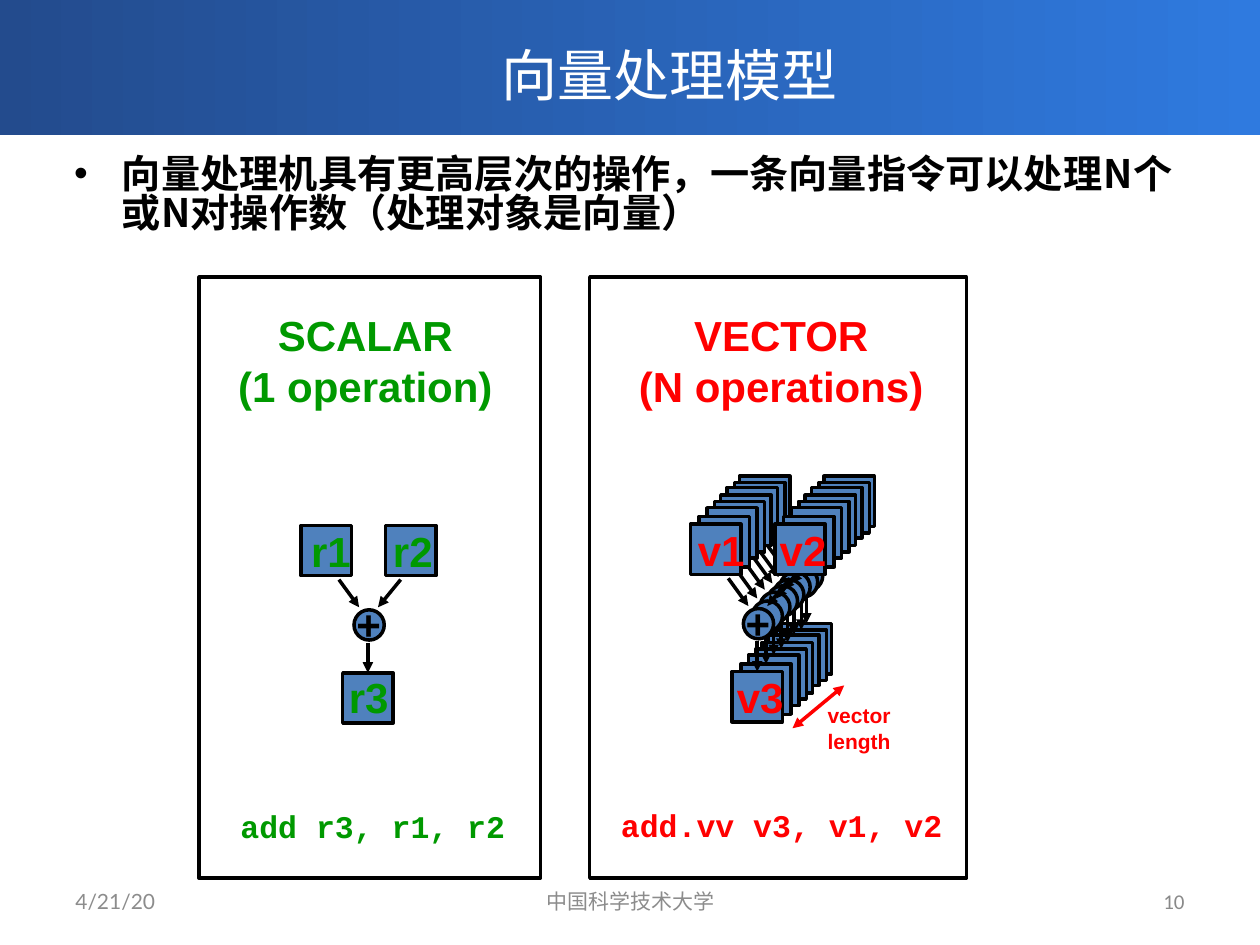
from typing import NamedTuple

from lxml import etree
from pptx import Presentation
from pptx.dml.color import RGBColor
from pptx.enum.shapes import MSO_CONNECTOR, MSO_SHAPE
from pptx.enum.text import MSO_ANCHOR, PP_ALIGN
from pptx.oxml.ns import qn
from pptx.util import Inches, Pt

RECT, OVAL = MSO_SHAPE.RECTANGLE, MSO_SHAPE.OVAL
STRAIGHT = MSO_CONNECTOR.STRAIGHT
TOP, MIDDLE = MSO_ANCHOR.TOP, MSO_ANCHOR.MIDDLE
LEFT, CENTER, RIGHT = PP_ALIGN.LEFT, PP_ALIGN.CENTER, PP_ALIGN.RIGHT

BLACK = RGBColor(0x00, 0x00, 0x00)
WHITE = RGBColor(0xFF, 0xFF, 0xFF)
NAVY = RGBColor(0x23, 0x4B, 0x8D)
AZURE = RGBColor(0x2F, 0x7A, 0xDF)
BLUE = RGBColor(0x4F, 0x81, 0xBD)
GREEN = RGBColor(0x00, 0x99, 0x00)
RED = RGBColor(0xFF, 0x00, 0x00)
GRAY = RGBColor(0x8C, 0x8C, 0x8C)
ASH = RGBColor(0x89, 0x89, 0x89)
CJK, SANS, MONO = "Noto Sans CJK SC", "Arial", "Courier New"


class Box(NamedTuple):
    x: float
    y: float
    w: float
    h: float


class Style(NamedTuple):
    font: str
    size: float
    color: RGBColor
    bold: bool = False
    align: PP_ALIGN = LEFT
    anchor: MSO_ANCHOR = TOP
    wrap: bool = True


class Panel(NamedTuple):
    frame: Box
    head: Box
    title: str
    code_box: Box
    code: str
    color: RGBColor
    layers: list[tuple[float, float]]  # unit origins, back to front
    names: list[tuple[str, float, float]]  # offsets from the front unit
    name_w: float


PANELS = [
    Panel(Box(1.58, 2.2, 2.71, 4.77), Box(1.78, 2.41, 2.24, 0.91),
          "SCALAR\n(1 operation)", Box(1.81, 6.36, 2.31, 0.4),
          "add r3, r1, r2", GREEN, [(2.39, 4.17)],
          [("r1", -0.02, -0.05), ("r2", 0.63, -0.05), ("r3", 0.28, 1.11)],
          0.52),
    Panel(Box(4.68, 2.2, 2.99, 4.77), Box(4.96, 2.41, 2.48, 0.91),
          "VECTOR\n(N operations)", Box(4.83, 6.35, 2.76, 0.4),
          "add.vv v3, v1, v2", RED,
          [(5.87, 3.78), (5.83, 3.83), (5.77, 3.87), (5.72, 3.93),
           (5.67, 3.98), (5.61, 4.03), (5.55, 4.1), (5.48, 4.16)],
          [("v1", -0.04, -0.05), ("v2", 0.61, -0.05), ("v3", 0.27, 1.12)],
          0.57),
]

prs = Presentation()
prs.slide_width, prs.slide_height = Inches(10), Inches(7.5)
slide = prs.slides.add_slide(prs.slide_layouts[6])
shapes = slide.shapes


def add_text(box: Box, text: str, style: Style):
    frame = shapes.add_textbox(*map(Inches, box)).text_frame
    frame.word_wrap = style.wrap
    frame.vertical_anchor = style.anchor
    frame.text = text
    for para in frame.paragraphs:
        para.alignment = style.align
        font = para.font
        font.name, font.size, font.bold = style.font, Pt(style.size), style.bold
        font.color.rgb = style.color
        if style.font == CJK:
            for run in para.runs:
                props = run.font
                props.name = CJK
                east = etree.SubElement(run._r.get_or_add_rPr(), qn("a:ea"))
                east.set("typeface", CJK)
    return frame


def add_block(kind: MSO_SHAPE, box: Box, fill: RGBColor | None = None):
    block = shapes.add_shape(kind, *map(Inches, box))
    block.shadow.inherit = False
    if fill is None:
        block.fill.background()
    else:
        block.fill.solid()
        block.fill.fore_color.rgb = fill
    block.line.color.rgb, block.line.width = BLACK, Pt(2)
    return block


def add_arrow(x1: float, y1: float, x2: float, y2: float,
              color: RGBColor = BLACK, both: bool = False):
    arrow = shapes.add_connector(STRAIGHT, *map(Inches, (x1, y1, x2, y2)))
    arrow.line.color.rgb, arrow.line.width = color, Pt(2)
    line = arrow.line._get_or_add_ln()
    for end in ("a:headEnd", "a:tailEnd") if both else ("a:tailEnd",):
        etree.SubElement(line, qn(end)).set("type", "triangle")
    etree.SubElement(arrow._element.spPr, qn("a:effectLst"))
    return arrow


def add_unit(x: float, y: float, left: bool) -> None:
    """Two operands, an adder and a result, with the arrows between."""
    add_block(OVAL, Box(x + 0.42, y + 0.67, 0.24, 0.24), BLUE)
    for dx, dy in ((0, 0), (0.67, 0), (0.33, 1.17)):
        square = add_block(RECT, Box(x + dx, y + dy, 0.4, 0.4), BLUE)
    if left:
        add_arrow(x + 0.3, y + 0.43, x + 0.46, y + 0.65)
    add_arrow(x + 0.79, y + 0.43, x + 0.61, y + 0.65)
    down = add_arrow(x + 0.53, y + 0.93, x + 0.53, y + 1.15)
    down.end_connect(square, 0)


def add_panel(panel: Panel) -> None:
    add_block(RECT, panel.frame)
    for i, (x, y) in enumerate(panel.layers):
        # The rearmost unit of a stack has no left arrow
        add_unit(x, y, left=i > 0 or len(panel.layers) == 1)
    label = Style(SANS, 24, panel.color, bold=True, wrap=False)
    for name, dx, dy in panel.names:
        add_text(Box(x + dx, y + dy, panel.name_w, 0.5), name, label)
    add_text(Box(x + 0.34, y + 0.53, 0.4, 0.5), "+",
             label._replace(color=BLACK))
    add_text(panel.code_box, panel.code, label._replace(font=MONO, size=18))
    add_text(panel.head, panel.title, label._replace(align=CENTER))


# Header band and title
band = add_block(RECT, Box(0, 0, 10, 1.07))
band.line.fill.background()
band.fill.gradient()
band.fill.gradient_angle = 0
for stop, color in zip(band.fill.gradient_stops, (NAVY, AZURE)):
    stop.color.rgb = color
add_text(Box(1.13, 0.16, 8.37, 0.86), "向量处理模型",
         Style(CJK, 32, WHITE, align=CENTER, anchor=MIDDLE))

# Bullet
body = add_text(
    Box(0.49, 1.2, 9, 0.85),
    "向量处理机具有更高层次的操作，一条向量指令可以处理N个或N对操作数（处理对象是向量）",
    Style(CJK, 22.4, BLACK, bold=True))
para = body.paragraphs[0]
para.line_spacing, para.space_before = 0.83, Pt(3)
props = para._p.get_or_add_pPr()
props.set("marL", str(Inches(0.38)))
props.set("indent", str(Inches(-0.38)))
face, mark = etree.Element(qn("a:buFont")), etree.Element(qn("a:buChar"))
face.set("typeface", SANS)
mark.set("char", "•")
at = props.index(props.find(qn("a:defRPr")))
props[at:at] = [face, mark]

# Panels
for panel in PANELS:
    add_panel(panel)

# Vector length
add_arrow(6.7, 5.44, 6.29, 5.78, RED, both=True)
add_text(Box(6.47, 5.53, 0.7, 0.5), "vector\nlength",
         Style(SANS, 12, RED, bold=True))

# Footer
foot = Style("Lato", 12, GRAY, anchor=MIDDLE)
add_text(Box(0.5, 6.95, 2.33, 0.4), "4/21/20", foot)
add_text(Box(3.42, 6.95, 3.17, 0.4), "中国科学技术大学",
         foot._replace(align=CENTER))
add_text(Box(7.17, 6.95, 2.33, 0.4), "10",
         foot._replace(font="Calibri", color=ASH, align=RIGHT))

prs.save("out.pptx")
